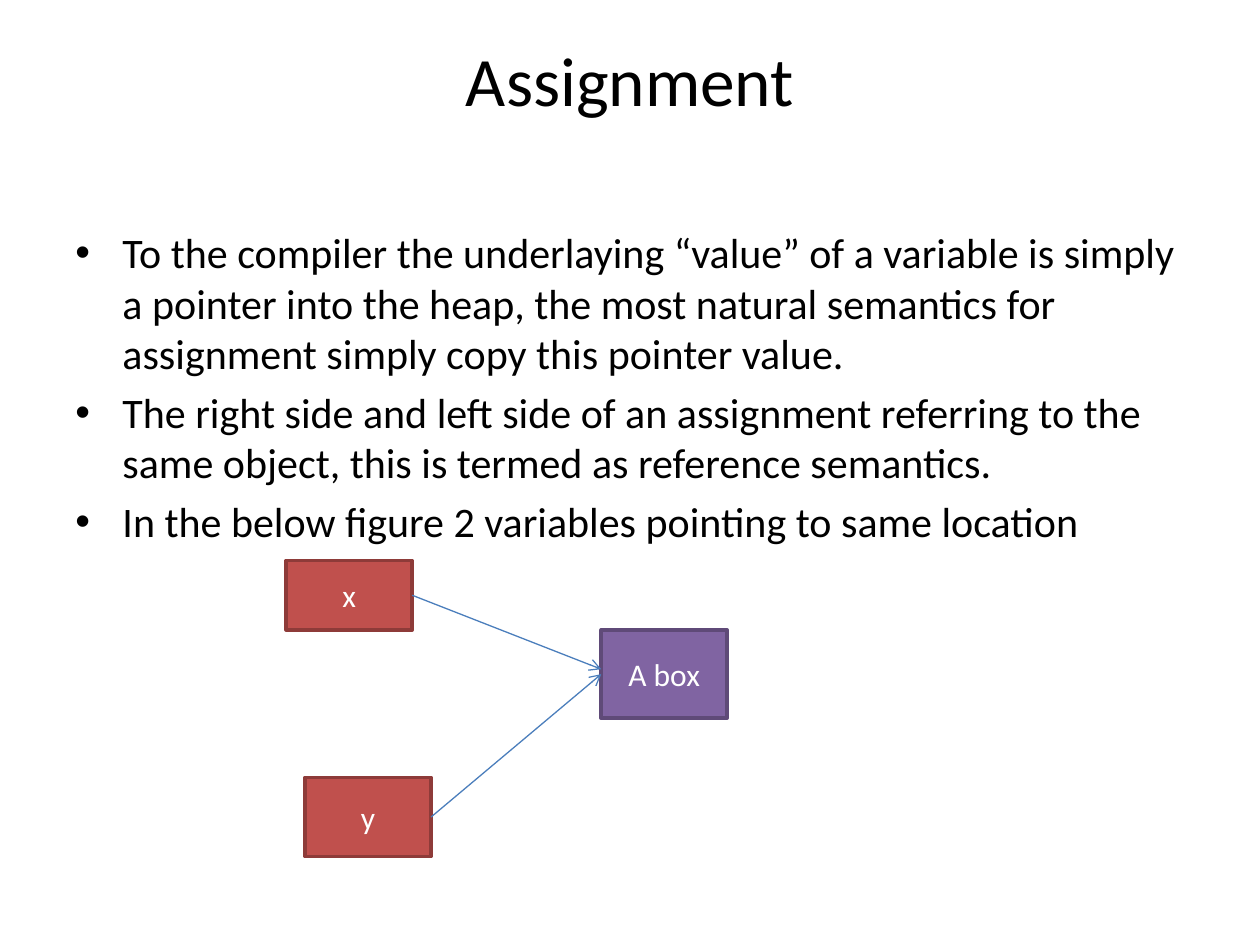
from lxml.etree import SubElement
from pptx import Presentation
from pptx.dml.color import RGBColor
from pptx.enum.shapes import MSO_CONNECTOR, MSO_SHAPE
from pptx.enum.text import MSO_ANCHOR, PP_ALIGN
from pptx.oxml.ns import qn
from pptx.util import Cm, Pt

BLACK = RGBColor(0x00, 0x00, 0x00)
WHITE = RGBColor(0xFF, 0xFF, 0xFF)
RED = RGBColor(0xC0, 0x50, 0x4D)
DARK_RED = RGBColor(0x8E, 0x3B, 0x39)
PURPLE = RGBColor(0x80, 0x64, 0xA2)
DARK_PURPLE = RGBColor(0x5F, 0x4A, 0x78)
BLUE = RGBColor(0x4B, 0x7E, 0xBC)

FONT = "Calibri"
MARGIN, CONTENT_WIDTH = 1.27, 22.86
BOX_WIDTH = 2.54
RIGHT_SIDE = 3
POINTS = [
    "To the compiler the underlaying “value” of a variable is simply a pointer "
    "into the heap, the most natural semantics for assignment simply copy this "
    "pointer value.",
    "The right side and left side of an assignment referring to the same object, "
    "this is termed as reference semantics.",
    "In the below figure 2 variables pointing to same location",
]


def apply_format(target, values):
    for name, value in values.items():
        setattr(target, name, value)


def write_paragraph(paragraph, text, size, color, **layout):
    run = paragraph.add_run()
    run.text = text
    apply_format(run.font, {"name": FONT, "size": Pt(size)})
    run.font.color.rgb = color
    apply_format(paragraph, layout)


def add_text_frame(slide, top, height, **frame_format):
    area = slide.shapes.add_textbox(
        Cm(MARGIN), Cm(top), Cm(CONTENT_WIDTH), Cm(height))
    apply_format(area.text_frame, {"word_wrap": True, **frame_format})
    return area.text_frame


def add_title(slide, text):
    title = add_text_frame(slide, 0.76, 3.18, margin_top=0)
    write_paragraph(title.paragraphs[0], text, 39.6, BLACK,
                    alignment=PP_ALIGN.CENTER)


def add_bullets(slide, points):
    body = add_text_frame(slide, 4.45, 12.57)
    for index, point in enumerate(points):
        paragraph = body.add_paragraph() if index else body.paragraphs[0]
        write_paragraph(paragraph, point, 24, BLACK, space_after=Pt(4.8))
        properties = paragraph._p.get_or_add_pPr()
        properties.set("marL", str(Cm(0.95)))
        properties.set("indent", str(-Cm(0.95)))
        SubElement(properties, qn("a:buFont"), typeface="Arial")
        SubElement(properties, qn("a:buChar"), char="•")


def add_box(slide, label, left, top, height, fill, border):
    box = slide.shapes.add_shape(
        MSO_SHAPE.RECTANGLE, Cm(left), Cm(top), Cm(BOX_WIDTH), Cm(height))
    box.shadow.inherit = False
    box.fill.solid()
    box.fill.fore_color.rgb = fill
    box.line.color.rgb = border
    box.line.width = Pt(2)
    box.text_frame.vertical_anchor = MSO_ANCHOR.MIDDLE
    write_paragraph(box.text_frame.paragraphs[0], label, 18, WHITE,
                    alignment=PP_ALIGN.CENTER)
    return box


def add_pointer(slide, variable, target_left, target_y):
    pointer = slide.shapes.add_connector(
        MSO_CONNECTOR.STRAIGHT, 0, 0, target_left, Cm(target_y))
    pointer.begin_connect(variable, RIGHT_SIDE)
    pointer.line.color.rgb = BLUE
    pointer.line.width = Pt(0.75)
    SubElement(pointer.line._get_or_add_ln(), qn("a:tailEnd"), type="arrow")
    SubElement(pointer._element.spPr, qn("a:effectLst"))


def main():
    presentation = Presentation()
    apply_format(presentation,
                 {"slide_width": Cm(25.4), "slide_height": Cm(19.05)})
    slide = presentation.slides.add_slide(presentation.slide_layouts[6])
    add_title(slide, "Assignment")
    add_bullets(slide, POINTS)
    x_box = add_box(slide, "x", 5.77, 11.3, 1.4, RED, DARK_RED)
    heap_box = add_box(slide, "A box", 12.12, 12.7, 1.78, PURPLE, DARK_PURPLE)
    y_box = add_box(slide, "y", 6.15, 15.67, 1.6, RED, DARK_RED)
    for variable, target_y in ((y_box, 13.59), (x_box, 13.49)):
        add_pointer(slide, variable, heap_box.left, target_y)
    presentation.save("out.pptx")


main()
